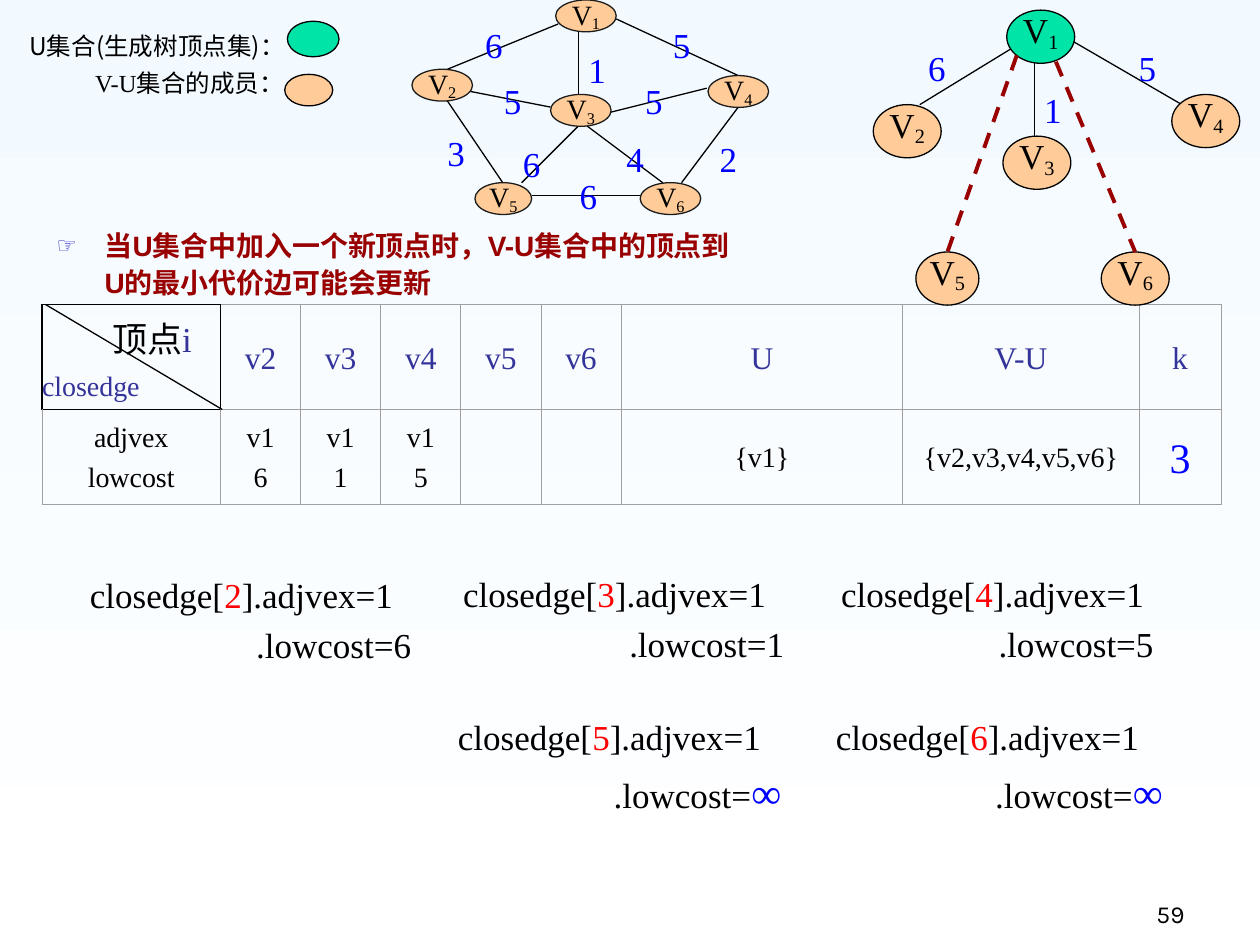
from lxml import etree
from pptx import Presentation
from pptx.dml.color import RGBColor
from pptx.enum.dml import MSO_LINE
from pptx.enum.shapes import MSO_CONNECTOR, MSO_SHAPE
from pptx.enum.text import MSO_ANCHOR, MSO_AUTO_SIZE, PP_ALIGN
from pptx.oxml.ns import qn
from pptx.util import Pt

C = {"black": "000000", "ink": "1C1C1C", "blue": "0000FF", "indigo": "333399",
     "red": "FF0000", "maroon": "990000", "bullet": "3333CC", "grid": "A0A0A0",
     "green": "00E4A8", "peach": "FFCC99", "sky": "F3FAFF", "white": "FFFFFF"}
SERIF, SANS, CJK = "Times New Roman", "Arial", "Noto Sans CJK SC"

GRAPH_EDGES = [
    (319, 13.7, 255.6, 39.6, "6", 271.4, 10.8),
    (352.1, 10.8, 421.9, 43.2, "5", 378.7, 10.8),
    (330.5, 18, 330.5, 54, "1", 330.5, 25.2),
    (314.6, 61.2, 262.8, 51.1, "5", 282.2, 43.2),
    (346.3, 64.8, 403.9, 50.4, "5", 362.9, 43.2),
    (255.6, 57.6, 287.3, 104.4, "3", 249.8, 72.7),
    (330.5, 72, 298.1, 104.4, "6", 293, 79.2),
    (335.5, 72, 378.7, 104.4, "4", 352.1, 76.3),
    (421.9, 61.2, 389.5, 104.4, "2", 405.4, 76.3),
    (303.8, 111.6, 367.9, 111.6, "6", 325.4, 97.2),
]
TREE_EDGES = [
    (577.4, 28.1, 525.6, 59.8, "6", 523.4, 24),
    (613.4, 23.8, 675.4, 59.8, "5", 643.7, 24),
    (591.1, 36, 591.1, 77.8, "1", 589.7, 48.2),
]
PENDING_EDGES = [(581, 31.7, 541.4, 144), (603.4, 35.3, 648.7, 144)]
GRAPH_NODES = [("1", 317.5, 0, 34.6), ("2", 235.4, 39.6, 34.6), ("3", 314.6, 54, 34.6),
               ("4", 404.6, 43.2, 34.6), ("5", 271.4, 104.4, 32.4), ("6", 365.8, 104.4, 34.6)]
TREE_NODES = [("1", 575.3, 5.8, 38.8), ("2", 499, 59.8, 38.8), ("3", 573.1, 77.8, 38.8),
              ("4", 669.6, 54, 38.8), ("5", 523.4, 144, 36), ("6", 629.3, 144, 38.8)]

COLS = [102] + [45.8] * 5 + [161, 135, 47]
ROWS = [60, 54]
HEAD = ["v2", "v3", "v4", "v5", "v6", "U", "V-U", "k"]
VALUES = [["adjvex", "lowcost"], ["v1", "6"], ["v1", "1"], ["v1", "5"], [], [],
          ["{v1}"], ["{v2,v3,v4,v5,v6}"], ["3"]]
TABLE_X, TABLE_Y = 24, 174

CLOSEDGE = [("2", "6", 51.4, 330.5, 95), ("3", "1", 264.6, 330, 95),
            ("4", "5", 480.6, 330, 90), ("5", "∞", 261.7, 411.8, 89),
            ("6", "∞", 477.7, 411.8, 91)]
RULE = "当U集合中加入一个新顶点时，V-U集合中的顶点到U的最小代价边可能会更新"


def rgb(name):
    return RGBColor.from_string(C[name])


def add_run(p, text, size, color="black", font=SERIF, bold=False, base=None):
    r = p.add_run()
    r.text = text
    r.font.size, r.font.name, r.font.bold = Pt(size), font, bold
    r.font.color.rgb = rgb(color)
    rPr = r._r.get_or_add_rPr()
    rPr.find(qn("a:latin")).addnext(etree.Element(qn("a:ea"), typeface=CJK))
    if base:
        rPr.set("baseline", str(base))


def add_para(tf, runs, first=True, align=PP_ALIGN.CENTER, spacing=1.1, before=0, left=0):
    p = tf.paragraphs[0] if first else tf.add_paragraph()
    p.alignment, p.line_spacing, p.space_before = align, spacing, Pt(before)
    if left:
        p._p.get_or_add_pPr().set("marL", str(Pt(left)))
    for run in runs:
        add_run(p, *run)
    return p


def set_frame(tf, mx=0, my=0, anchor=MSO_ANCHOR.TOP):
    tf.word_wrap, tf.auto_size, tf.vertical_anchor = True, MSO_AUTO_SIZE.NONE, anchor
    tf.margin_left = tf.margin_right = Pt(mx)
    tf.margin_top = tf.margin_bottom = Pt(my)
    return tf


def add_text(x, y, w, h, mx=0, my=0, anchor=MSO_ANCHOR.TOP):
    return set_frame(s.shapes.add_textbox(Pt(x), Pt(y), Pt(w), Pt(h)).text_frame, mx, my, anchor)


def add_line(x1, y1, x2, y2, color="black", width=0.75, dash=None):
    ln = s.shapes.add_connector(MSO_CONNECTOR.STRAIGHT, Pt(x1), Pt(y1), Pt(x2), Pt(y2))
    ln.line.color.rgb, ln.line.width = rgb(color), Pt(width)
    if dash:
        ln.line.dash_style = dash
    etree.SubElement(ln._element.spPr, qn("a:effectLst"))


def add_oval(x, y, w, h, fill, line="black"):
    sp = s.shapes.add_shape(MSO_SHAPE.OVAL, Pt(x), Pt(y), Pt(w), Pt(h))
    sp.shadow.inherit = False
    sp.fill.solid()
    sp.fill.fore_color.rgb = rgb(fill)
    sp.line.color.rgb, sp.line.width = rgb(line), Pt(0.75)
    return sp


def add_network(edges, nodes, height, size, line, label_w, label_h, done=()):
    for edge in edges:
        add_line(*edge[:4])
    for num, x, y, w in nodes:
        sp = add_oval(x, y, w, height, "green" if num in done else "peach", line)
        add_para(set_frame(sp.text_frame),
                 [("V", size), (num, size, "black", SERIF, False, -16000)], spacing=0.72)
    for *_, label, x, y in edges:
        add_para(add_text(x, y, label_w, label_h), [(label, 20, "blue")])


def set_borders(cell, color, width):
    tcPr = cell._tc.get_or_add_tcPr()
    for i, side in enumerate(("lnL", "lnR", "lnT", "lnB")):
        ln = etree.Element(qn(f"a:{side}"), w=str(Pt(width)))
        fill = etree.SubElement(ln, qn("a:solidFill"))
        etree.SubElement(fill, qn("a:srgbClr"), val=C[color])
        tcPr.insert(i, ln)


def add_grid():
    frame = s.shapes.add_table(len(ROWS), len(COLS), Pt(TABLE_X), Pt(TABLE_Y),
                               Pt(sum(COLS)), Pt(sum(ROWS)))
    tbl = frame.table
    tbl.first_row = tbl.horz_banding = False
    for col, w in zip(tbl.columns, COLS):
        col.width = Pt(w)
    for row, h in zip(tbl.rows, ROWS):
        row.height = Pt(h)
    for cell in tbl.iter_cells():
        cell.fill.background()
        cell.vertical_anchor = MSO_ANCHOR.MIDDLE
        cell.margin_left = cell.margin_right = cell.margin_top = cell.margin_bottom = 0
        corner = cell is tbl.cell(0, 0) or cell._tc is tbl.cell(0, 0)._tc
        set_borders(cell, "black" if corner else "grid", 0.75 if corner else 0.5)
    tf = tbl.cell(0, 0).text_frame
    add_para(tf, [("顶点", 20), ("i", 20, "indigo")], align=PP_ALIGN.LEFT, spacing=1, left=40)
    add_para(tf, [("closedge", 16, "indigo")], False, PP_ALIGN.LEFT, 1.1, 3)
    for i, name in enumerate(HEAD, 1):
        add_para(tbl.cell(0, i).text_frame, [(name, 18, "indigo")])
    last = len(COLS) - 1
    for i, lines in enumerate(VALUES):
        for j, text in enumerate(lines):
            run = (text, 24, "blue") if i == last else (text, 16)
            add_para(tbl.cell(1, i).text_frame, [run], j == 0, before=3.5 * j)
    add_line(TABLE_X + 2, TABLE_Y, TABLE_X + COLS[0] + 1, TABLE_Y + ROWS[0])


prs = Presentation()
prs.slide_width, prs.slide_height = Pt(720), Pt(540)
s = prs.slides.add_slide(prs.slide_layouts[1])
title = s.shapes.title._element
title.getparent().remove(title)

bg = s.background.fill
bg.gradient()
bg.gradient_angle = 270
for stop, color in zip(bg.gradient_stops, ("sky", "white")):
    stop.color.rgb = rgb(color)

body = s.placeholders[1]
body.left, body.top, body.width, body.height = Pt(25.2), Pt(125.3), Pt(401.8), Pt(48.2)
p = add_para(set_frame(body.text_frame, 7.2, 3.6), [(RULE, 16, "maroon", SANS, True)],
             align=PP_ALIGN.LEFT, left=27.4)
pPr = p._p.get_or_add_pPr()
pPr.set("indent", str(-Pt(27.4)))
etree.SubElement(etree.SubElement(pPr, qn("a:buClr")), qn("a:srgbClr"), val=C["bullet"])
etree.SubElement(pPr, qn("a:buSzPct"), val="80000")
etree.SubElement(pPr, qn("a:buChar"), char="☞")

add_grid()
add_network(TREE_EDGES, TREE_NODES, 30.4, 20, "black", 24, 26.6, done=("1",))
add_network(GRAPH_EDGES, GRAPH_NODES, 18.2, 16, "ink", 21.6, 24)
for edge in PENDING_EDGES:
    add_line(*edge, "maroon", 2.25, MSO_LINE.DASH)

add_oval(164.2, 12.2, 29.5, 20.2, "green")
add_oval(162.7, 42.5, 27.4, 18, "peach")
add_para(add_text(-1.4, 14.4, 182.2, 22.3, my=3.6),
         [("U集合(生成树顶点集)：", 14, "black", CJK)], spacing=Pt(16.8))
add_para(add_text(42.5, 39.6, 131.8, 19.4, my=3.6),
         [("V-U", 14), ("集合的成员：", 14, "black", CJK)], spacing=0.72)

for index, cost, x, y, left in CLOSEDGE:
    tf = add_text(x, y, 210, 56, my=3.6)
    add_para(tf, [("closedge[", 20), (index, 20, "red"), ("].adjvex=1", 20)],
             align=PP_ALIGN.LEFT, spacing=0.72)
    infinite = cost == "∞"
    runs = [(".lowcost=", 20), (cost, 24, "blue")] if infinite else [(f".lowcost={cost}", 20)]
    add_para(tf, runs, False, PP_ALIGN.LEFT, 0.72, 13 if infinite else 11, left)

add_para(add_text(534.2, 498.2, 149.8, 36, 7.2, 3.6, MSO_ANCHOR.BOTTOM),
         [("59", 14, "black", "Karla")], align=PP_ALIGN.RIGHT)

prs.save("out.pptx")
